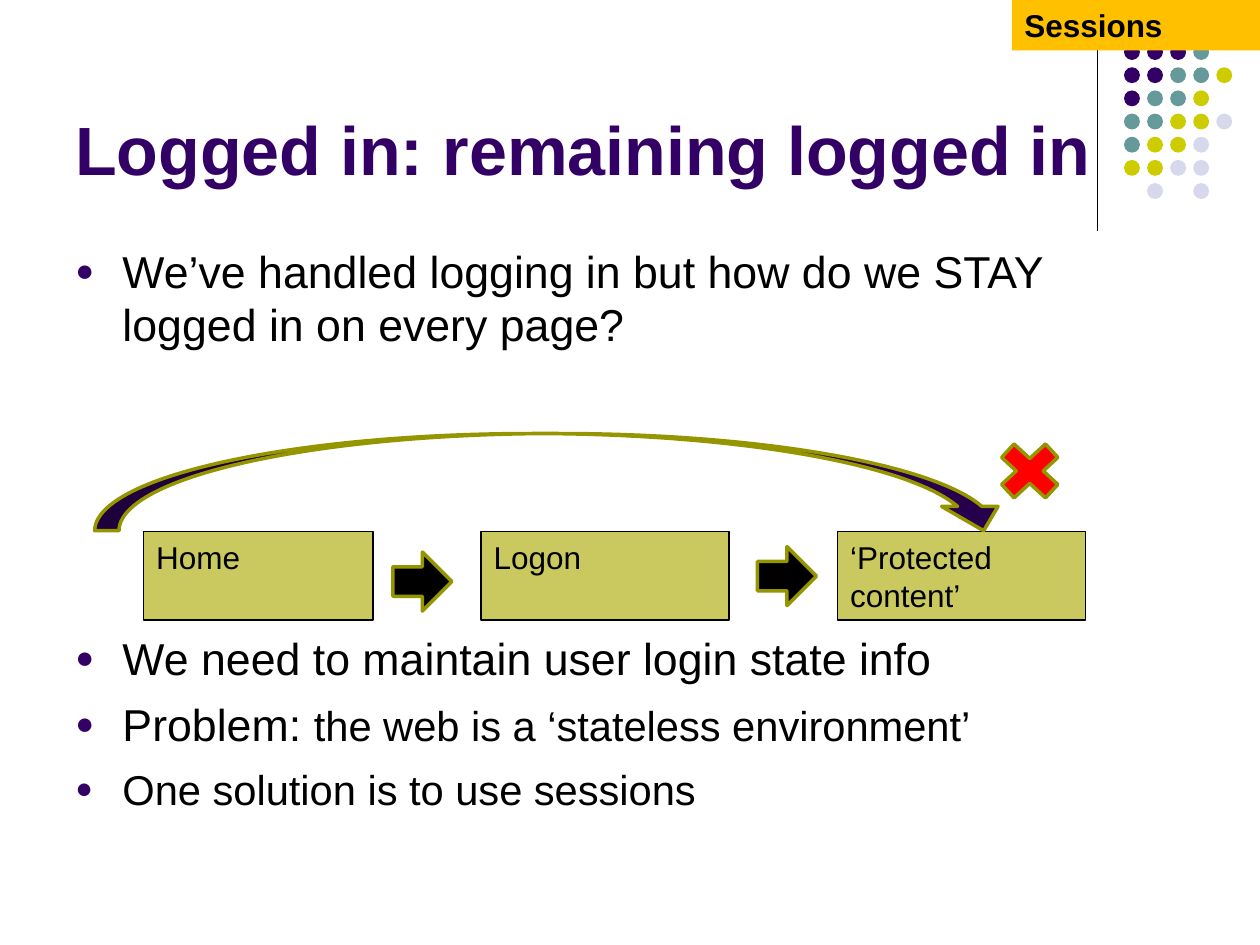
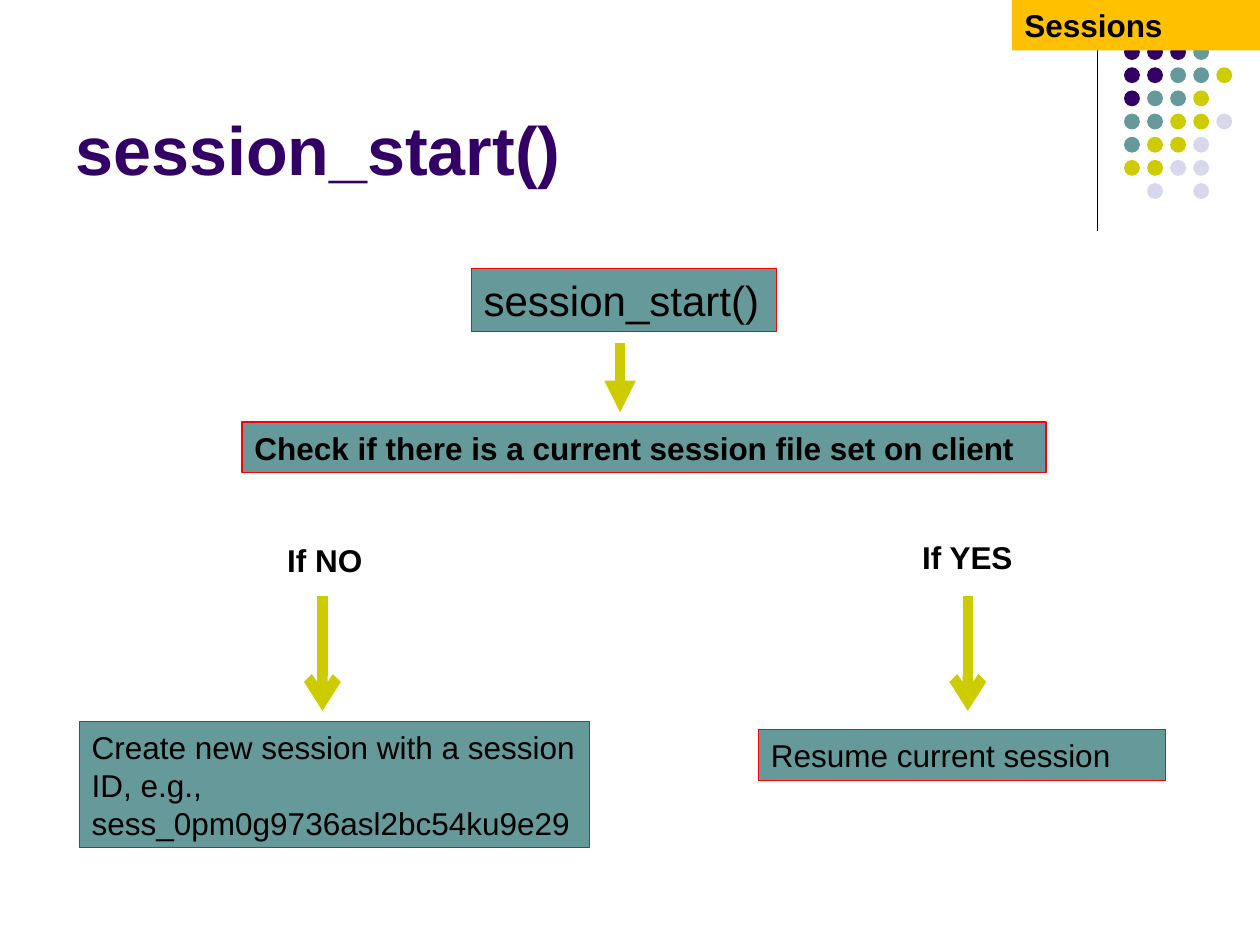
from pptx import Presentation
from pptx.dml.color import RGBColor as Rgb
from pptx.enum.shapes import MSO_CONNECTOR as Link, MSO_SHAPE as Form
from pptx.enum.text import MSO_ANCHOR as Anchor
from pptx.oxml.ns import qn
from pptx.util import Cm, Pt
from lxml.etree import SubElement as Sub

FONT = "Arial"
HUES = {
    "ink": "000000", "plum": "330066", "teal": "669999", "lime": "CCCC00",
    "mist": "D8D8EC", "gold": "FFC000", "sand": "C9C960", "red": "FF0000",
    "olive": "959500", "dusk": "26004D",
}
# Corner dots: one letter per dot, a blank where there is none
DOTS = ["PPPT ", "PPTTY", "PTTY ", "TTYYM", "TYYM ", "YYMM ", " M M "]
KEYS = {"P": "plum", "T": "teal", "Y": "lime", "M": "mist"}


def hue(name):
    return Rgb.from_string(HUES[name])


def write(frame, *paras, size=18, bold=False, color="ink", anchor=Anchor.TOP):
    """Each paragraph is a string or a list of (text, size) runs."""
    frame.word_wrap = True
    frame.vertical_anchor = anchor
    frame.margin_left = frame.margin_right = Cm(0.25)
    frame.margin_top = frame.margin_bottom = Cm(0.13)
    for i, para in enumerate(paras):
        line = frame.paragraphs[0] if i == 0 else frame.add_paragraph()
        line.alignment = 1
        runs = [(para, size)] if isinstance(para, str) else para
        line.line_spacing = Pt(1.2 * max(pt for _, pt in runs))
        for text, pt in runs:
            run = line.add_run()
            run.text = text
            font = run.font
            font.name, font.size, font.bold = FONT, Pt(pt), bold
            font.color.rgb = hue(color)


def label(slide, x, y, w, h, *paras, **style):
    box = slide.shapes.add_textbox(Cm(x), Cm(y), Cm(w), Cm(h))
    write(box.text_frame, *paras, **style)
    return box.text_frame


def shape(slide, form, x, y, w, h, fill, line=None, width=0.75, adj=()):
    item = slide.shapes.add_shape(form, Cm(x), Cm(y), Cm(w), Cm(h))
    item.shadow.inherit = False
    item.fill.solid()
    item.fill.fore_color.rgb = hue(fill)
    if line:
        item.line.color.rgb = hue(line)
        item.line.width = Pt(width)
    else:
        item.line.fill.background()
    for i, value in enumerate(adj):
        item.adjustments[i] = value
    return item


def box(slide, x, y, w, h, *paras, fill, line=None, **style):
    item = shape(slide, Form.RECTANGLE, x, y, w, h, fill, line)
    write(item.text_frame, *paras, **style)


def rule(slide, x, top, end, color="ink", width=0.75, head=None):
    """Vertical line, with an arrowhead at its lower end if asked."""
    item = slide.shapes.add_connector(
        Link.STRAIGHT, Cm(x), Cm(top), Cm(x), Cm(end))
    item.line.color.rgb = hue(color)
    item.line.width = Pt(width)
    props = item._element.spPr
    if head:
        Sub(props.find(qn("a:ln")), qn("a:tailEnd"), type=head)
    Sub(props, qn("a:effectLst"))


def bullet(para, after):
    para.space_after = Pt(after)
    props = para._p.get_or_add_pPr()
    props.set("marL", str(Cm(0.95)))
    props.set("indent", str(-Cm(0.95)))
    tint = Sub(props, qn("a:buClr"))
    Sub(tint, qn("a:srgbClr"), val=HUES["plum"])
    Sub(props, qn("a:buSzPct"), val="70000")
    Sub(props, qn("a:buFont"), typeface=FONT)
    Sub(props, qn("a:buChar"), char="●")


def base(deck, title):
    """New slide with corner dots, side rule, title and section tag."""
    slide = deck.slides.add_slide(deck.slide_layouts[6])
    rule(slide, 22.12, 0.43, 4.65)
    for row, marks in enumerate(DOTS):
        for col, mark in enumerate(marks):
            if mark in KEYS:
                shape(slide, Form.OVAL, 22.66 + 0.465 * col,
                      0.89 + 0.467 * row, 0.32, 0.32, KEYS[mark])
    label(slide, 1.27, 0.33, 21.23, 3.61, title, size=39, bold=True,
          color="plum", anchor=Anchor.BOTTOM)
    box(slide, 20.4, 0, 5, 1.02, "Sessions", fill="gold", bold=True)
    return slide


def login(deck):
    slide = base(deck, "Logged in: remaining logged in")
    # Bullets, with room for the page flow after the first
    frame = label(
        slide, 1.27, 4.78, 22.86, 12.24,
        "We’ve handled logging in but how do we STAY logged in on every page?",
        "We need to maintain user login state info",
        [("Problem: ", 25.5), ("the web is a ‘stateless environment’", 23.8)],
        [("One solution is to use sessions", 23.8)],
        size=25.5)
    for i, para in enumerate(frame.paragraphs):
        bullet(para, 7.3 if i else 160)
    # Page flow
    pages = [(2.9, 4.62, "Home"), (9.7, 5, "Logon"),
             (16.89, 5, "‘Protected content’")]
    for x, w, name in pages:
        box(slide, x, 10.72, w, 1.78, name, fill="sand", line="ink")
    for x, y in [(7.92, 11.13), (15.27, 11.02)]:
        shape(slide, Form.RIGHT_ARROW, x, y, 1.19, 1.19, "ink", "olive", 2)
    # Blocked shortcut
    shape(slide, Form.CURVED_DOWN_ARROW, 1.91, 8.74, 18.49, 1.96,
          "dusk", "olive", 2, adj=(0.25, 0.58, 0.25))
    shape(slide, Form.MATH_MULTIPLY, 19.91, 8.71, 1.7, 1.57,
          "red", "olive", 2)


def start(deck):
    slide = base(deck, "session_start()")
    look = {"fill": "teal", "line": "red"}
    # Call and check
    box(slide, 9.5, 5.41, 6.15, 1.27, "session_start()", size=24, **look)
    rule(slide, 12.5, 6.91, 8.31, "lime", 6, "triangle")
    box(slide, 4.88, 8.51, 16.21, 1.02,
        "Check if there is a current session file set on client",
        bold=True, **look)
    # Two outcomes
    for x, y, text in [(5.54, 10.77, "If NO"), (18.34, 10.72, "If YES")]:
        label(slide, x, y, 2.36, 1.02, text, bold=True)
    for x in (6.5, 19.51):
        rule(slide, x, 12.01, 14.33, "lime", 6, "arrow")
    box(slide, 1.6, 14.55, 10.29, 2.54,
        "Create new session with a session ID, e.g.,",
        "sess_0pm0g9736asl2bc54ku9e29", **look)
    box(slide, 15.29, 14.71, 8.2, 1.02, "Resume current session", **look)


def main():
    deck = Presentation()
    deck.slide_width, deck.slide_height = Cm(25.4), Cm(19.05)
    login(deck)
    start(deck)
    deck.save("out.pptx")


if __name__ == "__main__":
    main()
